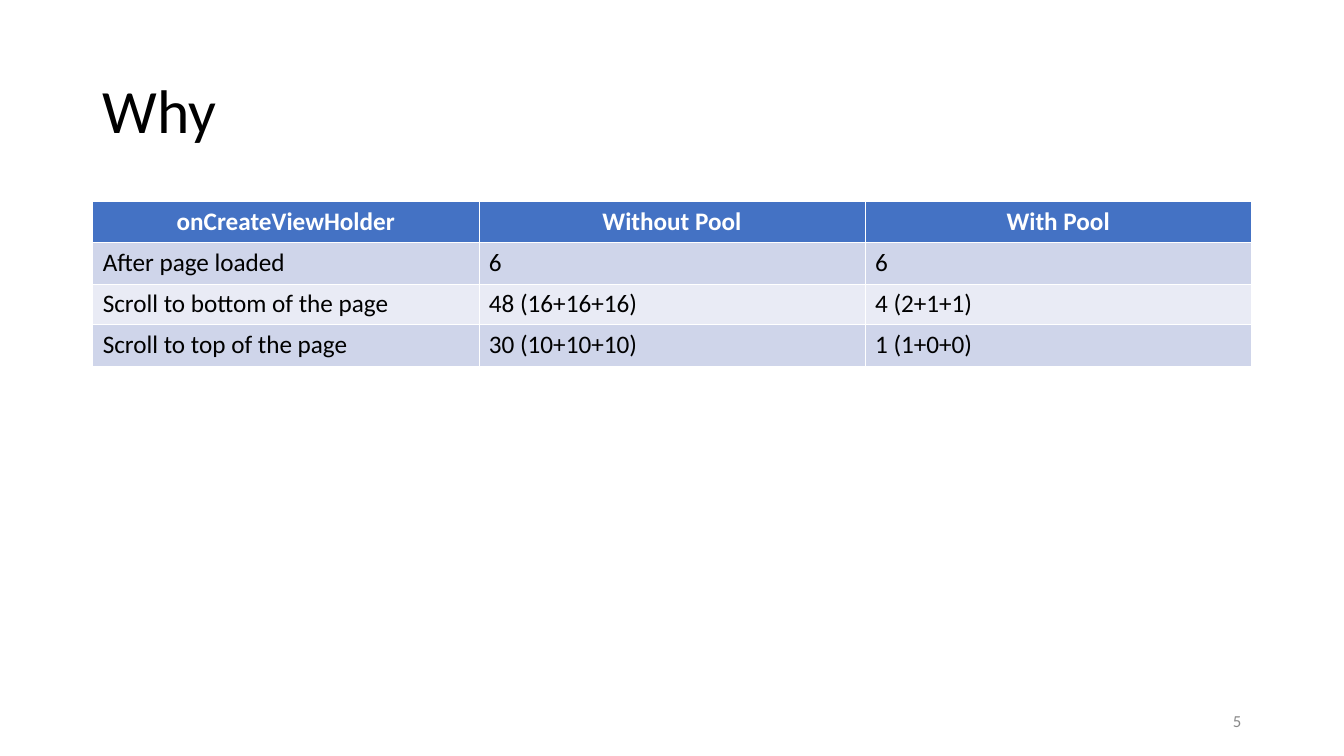
from dataclasses import dataclass

from lxml import etree
from pptx import Presentation
from pptx.dml.color import RGBColor
from pptx.enum.text import MSO_ANCHOR, PP_ALIGN
from pptx.oxml.ns import qn
from pptx.table import _Cell
from pptx.text.text import TextFrame
from pptx.util import Inches, Pt

LEFT, CENTER, RIGHT = PP_ALIGN.LEFT, PP_ALIGN.CENTER, PP_ALIGN.RIGHT
MIDDLE = MSO_ANCHOR.MIDDLE
FONT = "Calibri"
BLACK = RGBColor(0x00, 0x00, 0x00)
WHITE = RGBColor(0xFF, 0xFF, 0xFF)
GRAY = RGBColor(0x89, 0x89, 0x89)
BLUE = RGBColor(0x44, 0x72, 0xC4)
BAND_DARK = RGBColor(0xCF, 0xD5, 0xEA)
BAND_LIGHT = RGBColor(0xE9, 0xEB, 0xF5)
THIN, THICK = Pt(0.45), Pt(1.47)


@dataclass
class TableRow:
    texts: tuple[str, str, str]
    fill: RGBColor
    height: float
    header: bool = False


ROWS = [
    TableRow(("onCreateViewHolder", "Without Pool", "With Pool"), BLUE, 0.4, True),
    TableRow(("After page loaded", "6", "6"), BAND_DARK, 0.41),
    TableRow(("Scroll to bottom of the page", "48 (16+16+16)", "4 (2+1+1)"), BAND_LIGHT, 0.4),
    TableRow(("Scroll to top of the page", "30 (10+10+10)", "1 (1+0+0)"), BAND_DARK, 0.41),
]


def write_text(tf: TextFrame, text: str, size: float, color: RGBColor,
               align: PP_ALIGN, bold: bool = False) -> None:
    tf.text = text
    p = tf.paragraphs[0]
    p.alignment = align
    font = p.runs[0].font
    font.name, font.size, font.bold = FONT, Pt(size), bold
    font.color.rgb = color


def set_borders(cell: _Cell, top: int, bottom: int) -> None:
    tc_pr = cell._tc.get_or_add_tcPr()
    for side, width in (("L", THIN), ("R", THIN), ("T", top), ("B", bottom)):
        ln = etree.SubElement(tc_pr, qn(f"a:ln{side}"), w=str(int(width)))
        fill = etree.SubElement(ln, qn("a:solidFill"))
        etree.SubElement(fill, qn("a:srgbClr"), val=str(WHITE))


def fill_cell(cell: _Cell, text: str, row: TableRow, top: int, bottom: int) -> None:
    set_borders(cell, top, bottom)
    cell.fill.solid()
    cell.fill.fore_color.rgb = row.fill
    write_text(cell.text_frame, text, 18, WHITE if row.header else BLACK,
               CENTER if row.header else LEFT, row.header)


def main() -> None:
    prs = Presentation()
    prs.slide_width, prs.slide_height = Inches(13.34), Inches(7.5)
    s = prs.slides.add_slide(prs.slide_layouts[5])

    title = s.shapes.title
    title.left, title.top = Inches(0.92), Inches(0.4)
    title.width, title.height = Inches(11.5), Inches(1.45)
    write_text(title.text_frame, "Why", 44, BLACK, LEFT)
    title.text_frame.vertical_anchor = MIDDLE
    title.text_frame.paragraphs[0].line_spacing = 0.9

    table = s.shapes.add_table(len(ROWS), 3, Inches(0.92), Inches(2),
                               Inches(11.5), Inches(1.62)).table
    for i, row in enumerate(ROWS):
        table.rows[i].height = Inches(row.height)
        top = THICK if i == 1 else THIN
        bottom = THICK if row.header else THIN
        for j, text in enumerate(row.texts):
            fill_cell(table.cell(i, j), text, row, top, bottom)

    number = s.shapes.add_textbox(Inches(9.42), Inches(6.95), Inches(3), Inches(0.4))
    tf = number.text_frame
    tf.word_wrap = True
    tf.vertical_anchor = MIDDLE
    write_text(tf, "5", 12, GRAY, RIGHT)

    prs.save("out.pptx")


if __name__ == "__main__":
    main()
